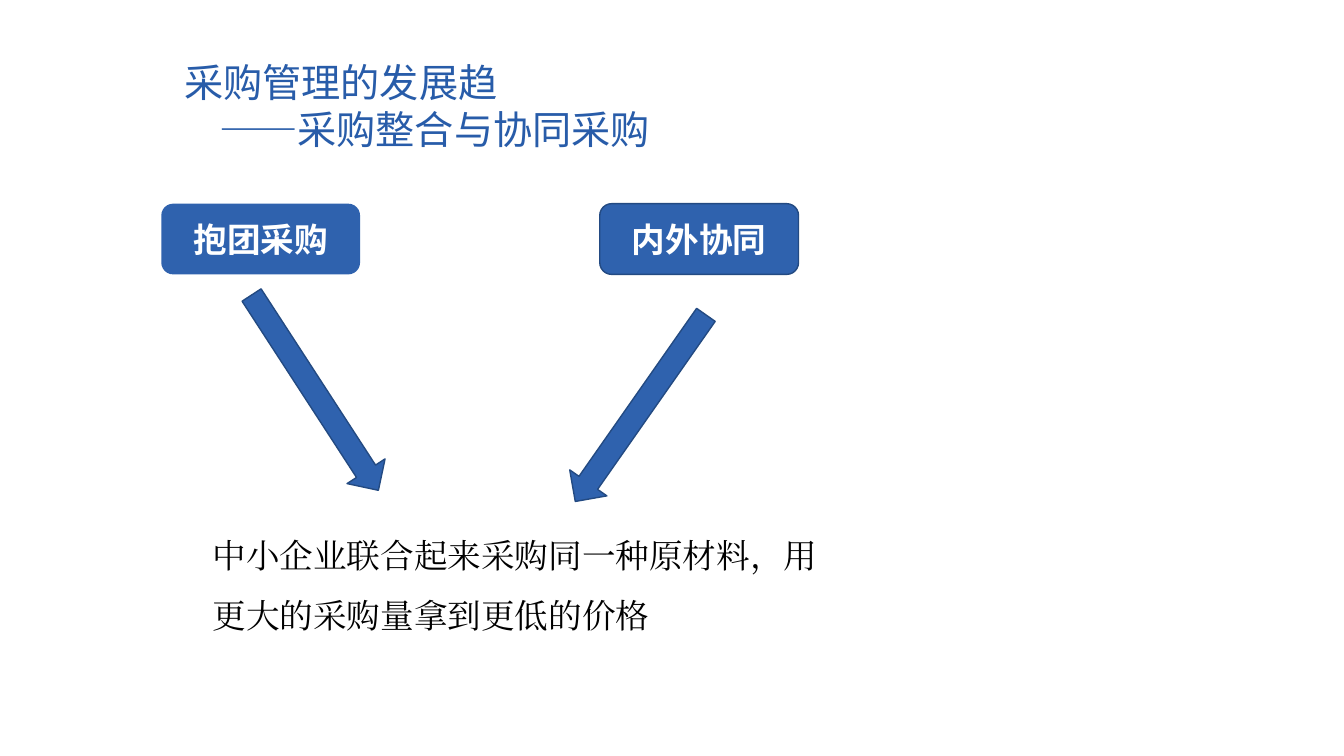
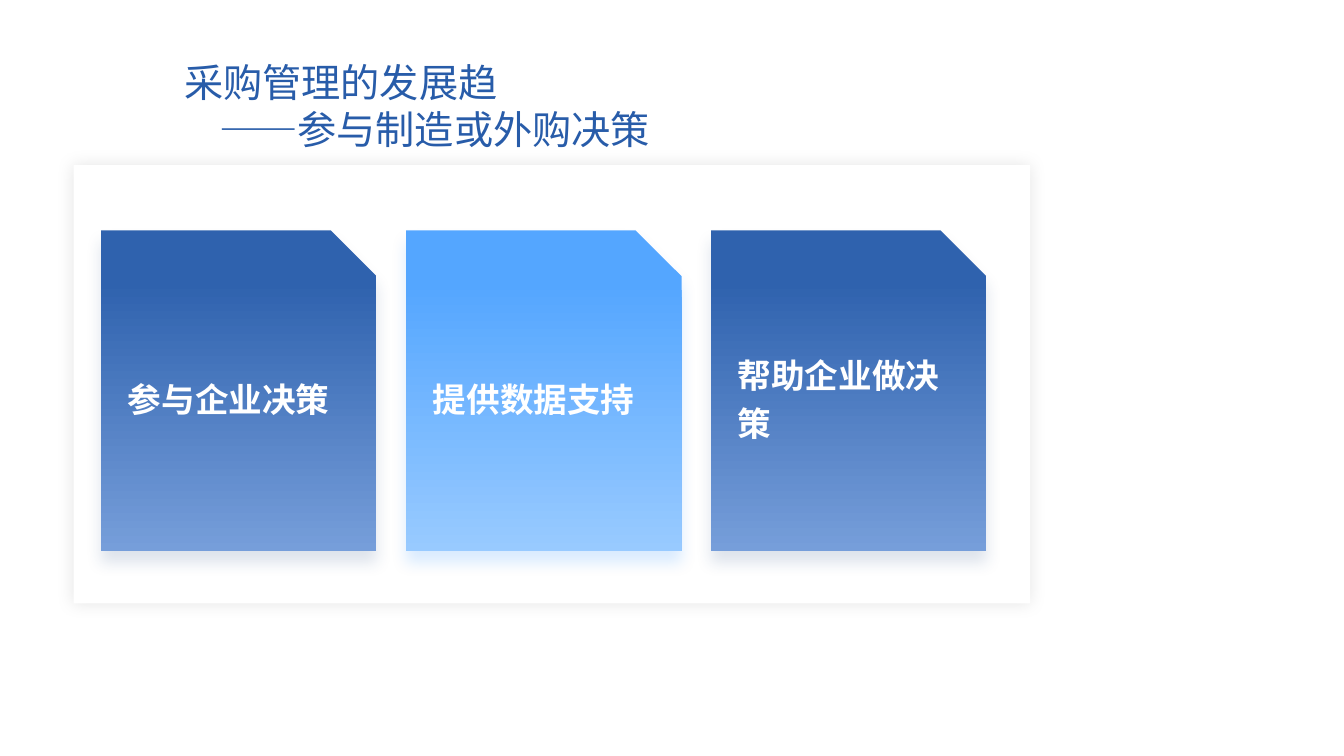
import pptx
import pptx.dml.color
import pptx.enum.shapes
import pptx.enum.text
import pptx.oxml
import pptx.oxml.ns
import pptx.util

Pt = pptx.util.Pt
SHAPE = pptx.enum.shapes.MSO_SHAPE
ALIGN = pptx.enum.text.PP_ALIGN
ANCHOR = pptx.enum.text.MSO_ANCHOR
COLORS = {
    "title": "285CA9",
    "blue": "2F62AE",
    "blue_end": "769EDA",
    "edge": "234A82",
    "sky": "54A6FF",
    "sky_end": "98CAFF",
    "sky_shadow": "007AFE",
    "white": "FFFFFF",
    "black": "000000",
}
TITLE_FONT = "Noto Sans CJK SC"
LABEL_FONT = "Noto Sans CJK JP"
BODY_FONT = "Times New Roman"


def rgb(name):
    """Return the named colour."""
    return pptx.dml.color.RGBColor.from_string(COLORS[name])


def add_run(p, text, font, size, color, bold=False):
    """Add one run with its Latin and East Asian fonts."""
    r = p.add_run()
    r.text = text
    r.font.name = font
    r.font.size = Pt(size)
    r.font.bold = bold
    r.font.color.rgb = rgb(color)
    ea = r.font.fill._xPr.makeelement(pptx.oxml.ns.qn("a:ea"), {"typeface": font})
    r.font.fill._xPr.find(pptx.oxml.ns.qn("a:latin")).addnext(ea)


def add_text_box(slide, box, anchor):
    """Add an empty wrapping text box and return its text frame."""
    tf = slide.shapes.add_textbox(*map(Pt, box)).text_frame
    tf.word_wrap = True
    tf.vertical_anchor = anchor
    return tf


def add_title(slide, subtitle):
    """Add the heading with its indented second line."""
    tf = add_text_box(slide, (124.5, 52, 400, 46), ANCHOR.MIDDLE)
    first, second = tf.paragraphs[0], tf.add_paragraph()
    second._p.get_or_add_pPr().set("marL", str(Pt(25)))
    for p, text in ((first, "采购管理的发展趋"), (second, "——" + subtitle)):
        p.line_spacing = Pt(33.6)
        add_run(p, text, TITLE_FONT, 28, "title")


def add_shape(slide, kind, box, fill, line=None):
    """Add a preset shape with a solid fill and an optional outline."""
    sp = slide.shapes.add_shape(kind, *map(Pt, box))
    sp.shadow.inherit = False
    sp.fill.solid()
    sp.fill.fore_color.rgb = rgb(fill)
    if line:
        sp.line.color.rgb = rgb(line)
        sp.line.width = Pt(1)
    else:
        sp.line.fill.background()
    return sp


def add_shadow(sp, color, alpha, blur, dist):
    """Give a shape a soft shadow that falls downwards."""
    effects = sp._element.spPr.find(pptx.oxml.ns.qn("a:effectLst"))
    effects.append(pptx.oxml.parse_xml(
        f'<a:outerShdw {pptx.oxml.ns.nsdecls("a")} blurRad="{Pt(blur)}" '
        f'dist="{Pt(dist)}" dir="5400000" algn="ctr" rotWithShape="0">'
        f'<a:srgbClr val="{COLORS[color]}"><a:alpha val="{alpha * 1000}"/></a:srgbClr>'
        '</a:outerShdw>'))


def add_label(slide, left, text, line=None):
    """Add a rounded label with centred bold text."""
    box = (left, 145.5, 142, 50.5)
    sp = add_shape(slide, SHAPE.FLOWCHART_ALTERNATE_PROCESS, box, "blue", line)
    tf = sp.text_frame
    tf.vertical_anchor = ANCHOR.MIDDLE
    p = tf.paragraphs[0]
    p.alignment = ALIGN.CENTER
    add_run(p, text, LABEL_FONT, 24, "white", True)


def add_arrow(slide, box, angle):
    """Add a rotated block arrow."""
    add_shape(slide, SHAPE.DOWN_ARROW, box, "blue", "edge").rotation = angle


def add_card(slide, left, text, top_color, end_color, shadow):
    """Add a gradient card with a cut corner and its caption."""
    sp = add_shape(slide, SHAPE.SNIP_1_RECTANGLE, (left, 164.5, 197, 229), top_color)
    sp.fill.gradient()
    sp.fill.gradient_angle = 270
    stops = zip(sp.fill.gradient_stops, (0.16, 1), (top_color, end_color))
    for stop, position, color in stops:
        stop.position = position
        stop.color.rgb = rgb(color)
    add_shadow(sp, shadow, 15, 11, 8)
    tf = add_text_box(slide, (left + 12.3, 188.6, 173, 187), ANCHOR.MIDDLE)
    p = tf.paragraphs[0]
    p.line_spacing = Pt(34.3)
    p.space_after = Pt(8)
    add_run(p, text, LABEL_FONT, 24, "white", True)


def build_joint_purchasing(slide):
    """Draw the two labels whose arrows lead to one statement."""
    add_title(slide, "采购整合与协同采购")
    add_label(slide, 115.2, "抱团采购")
    add_label(slide, 428.4, "内外协同", "edge")
    tf = add_text_box(slide, (144.7, 364.3, 453, 94.3), ANCHOR.TOP)
    p = tf.paragraphs[0]
    p.line_spacing = Pt(43)
    add_run(p, "中小企业联合起来采购同一种原材料，用更大的采购量拿到更低的价格",
            BODY_FONT, 24, "black")
    add_arrow(slide, (208.8, 197.3, 32.4, 166.3), 327)
    add_arrow(slide, (441.4, 210.2, 32.4, 162.7), 35)


def build_make_or_buy(slide):
    """Draw the panel with its row of three cards."""
    add_title(slide, "参与制造或外购决策")
    panel = add_shape(slide, SHAPE.RECTANGLE, (52.6, 118, 683.3, 313), "white")
    add_shadow(panel, "black", 10, 12, 0)
    dark = ("blue", "blue_end", "edge")
    light = ("sky", "sky_end", "sky_shadow")
    cards = (("参与企业决策", dark), ("提供数据支持", light), ("帮助企业做决策", dark))
    for i, (text, colors) in enumerate(cards):
        add_card(slide, 72 + 217.8 * i, text, *colors)


def main():
    """Build and save the presentation."""
    prs = pptx.Presentation()
    prs.slide_width, prs.slide_height = Pt(960), Pt(540)
    for build in (build_joint_purchasing, build_make_or_buy):
        build(prs.slides.add_slide(prs.slide_layouts[6]))
    prs.save("out.pptx")


if __name__ == "__main__":
    main()
